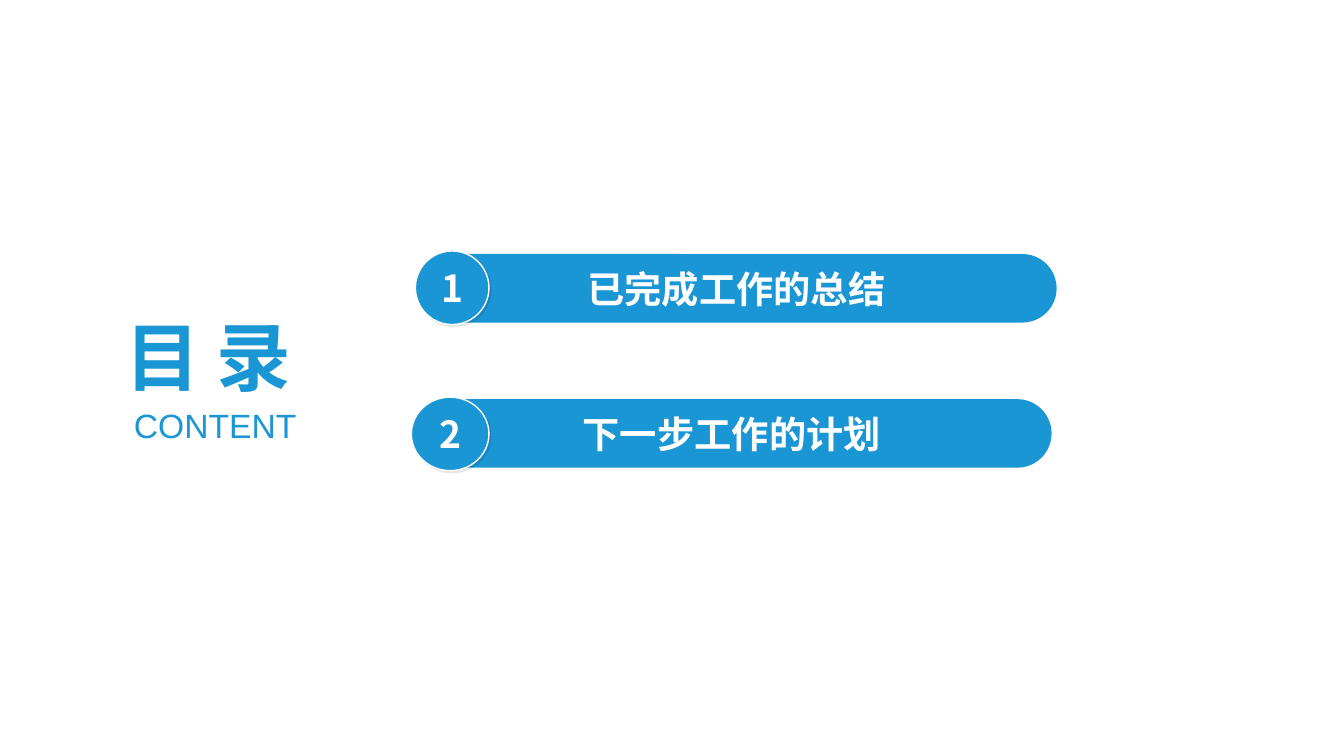
from lxml import etree
from pptx import Presentation
from pptx import util as u
from pptx.dml.color import RGBColor
from pptx.enum import shapes, text
from pptx.oxml import ns

BLUE = RGBColor(0x1B, 0x96, 0xD5)
WHITE = RGBColor(0xFF, 0xFF, 0xFF)
BLACK = RGBColor(0x00, 0x00, 0x00)
CJK_FONT = "Noto Sans CJK SC"
LATIN_FONT = "Arial"
EMU_PER_PX = 9144  # 100 px to the inch


def px(length):
    return u.Emu(length * EMU_PER_PX)


class AgendaPage:
    """Holds the style and the current slide."""

    label = {"font": CJK_FONT, "size": 26.6, "bold": True, "color": WHITE}

    def __init__(self, deck):
        self.page = deck.slides.add_slide(deck.slide_layouts[5])

    def set_words(self, box, words, font, size, bold, color, align, inset, wrap):
        frame = box.text_frame
        settings = {
            "word_wrap": wrap,
            "auto_size": text.MSO_AUTO_SIZE.NONE,
            "vertical_anchor": text.MSO_ANCHOR.MIDDLE,
            "margin_left": px(inset),
            "margin_right": px(inset),
            "margin_top": px(inset // 2),
            "margin_bottom": px(inset // 2),
        }
        for name, value in settings.items():
            setattr(frame, name, value)
        para = frame.paragraphs[0]
        para.alignment = align
        span = para.add_run()
        span.text = words
        for name, value in {"name": font, "size": u.Pt(size), "bold": bold}.items():
            setattr(span.font, name, value)
        span.font.color.rgb = color
        # East Asian typeface
        properties = span._r.get_or_add_rPr()
        etree.SubElement(properties, ns.qn("a:ea"), typeface=font)

    def place(self, box, left, top, width, height):
        for name, value in {"left": left, "top": top, "width": width, "height": height}.items():
            setattr(box, name, px(value))

    def title(self, words, area):
        box = self.page.shapes.title
        self.place(box, *area)
        self.set_words(box, words, CJK_FONT, 53.3, True, BLUE, text.PP_ALIGN.LEFT, 10, False)

    def caption(self, words, area):
        box = self.page.shapes.add_textbox(*map(px, area))
        self.set_words(box, words, LATIN_FONT, 24, False, BLUE, text.PP_ALIGN.LEFT, 10, False)

    def filled_shape(self, group, kind, words, area):
        box = group.shapes.add_shape(kind, *map(px, area))
        box.shadow.inherit = False
        box.fill.solid()
        box.fill.fore_color.rgb = BLUE
        box.line.fill.background()
        self.set_words(box, words, **self.label, align=text.PP_ALIGN.CENTER, inset=0, wrap=True)
        return box

    def soft_shadow(self, box):
        effects = box._element.spPr.find(ns.qn("a:effectLst"))
        shadow = etree.SubElement(effects, ns.qn("a:outerShdw"), blurRad="0",
                                  dist=str(u.Pt(2)), dir="2700000", algn="tl", rotWithShape="0")
        color = etree.SubElement(shadow, ns.qn("a:srgbClr"), val=str(BLACK))
        etree.SubElement(color, ns.qn("a:alpha"), val="10000")

    def entry(self, number, words, bar_area, badge_area):
        group = self.page.shapes.add_group_shape()
        bar = self.filled_shape(group, shapes.MSO_SHAPE.ROUNDED_RECTANGLE, words, bar_area)
        bar.adjustments[0] = 0.5
        badge = self.filled_shape(group, shapes.MSO_SHAPE.OVAL, str(number), badge_area)
        badge.line.color.rgb = WHITE
        badge.line.width = u.Pt(1)
        self.soft_shadow(badge)


def main():
    deck = Presentation()
    deck.slide_width, deck.slide_height = px(1333), px(750)
    agenda = AgendaPage(deck)

    # Heading on the left
    agenda.title("目 录", (114, 303, 190, 100))
    agenda.caption("CONTENT", (123, 397, 181, 50))

    # Numbered entries
    entries = [
        ("已完成工作的总结", (413, 252, 635, 68), (412, 249, 73, 73)),
        ("下一步工作的计划", (409, 396, 634, 68), (408, 394, 77, 73)),
    ]
    for number, (words, bar_area, badge_area) in enumerate(entries, start=1):
        agenda.entry(number, words, bar_area, badge_area)

    deck.save("out.pptx")


if __name__ == "__main__":
    main()
